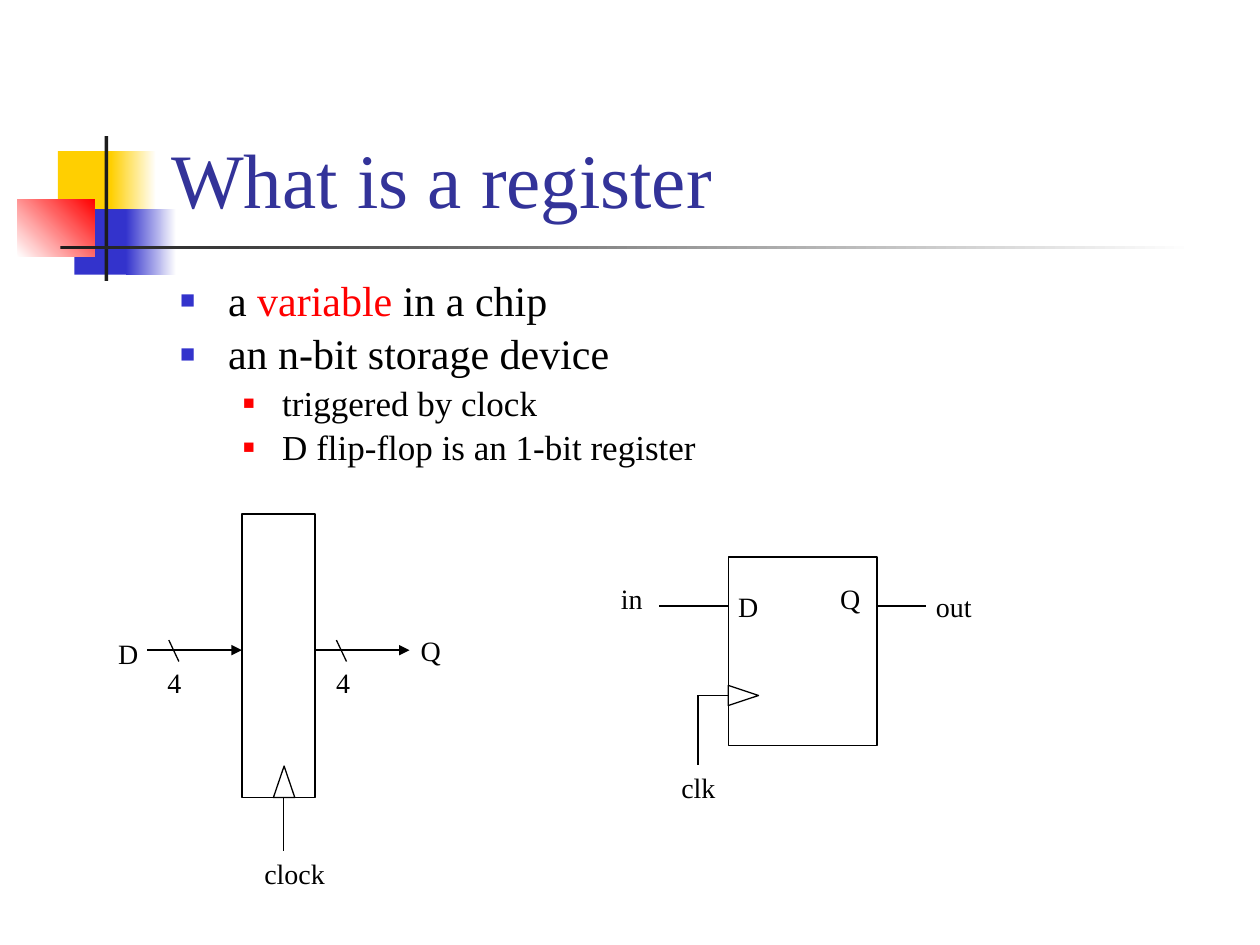
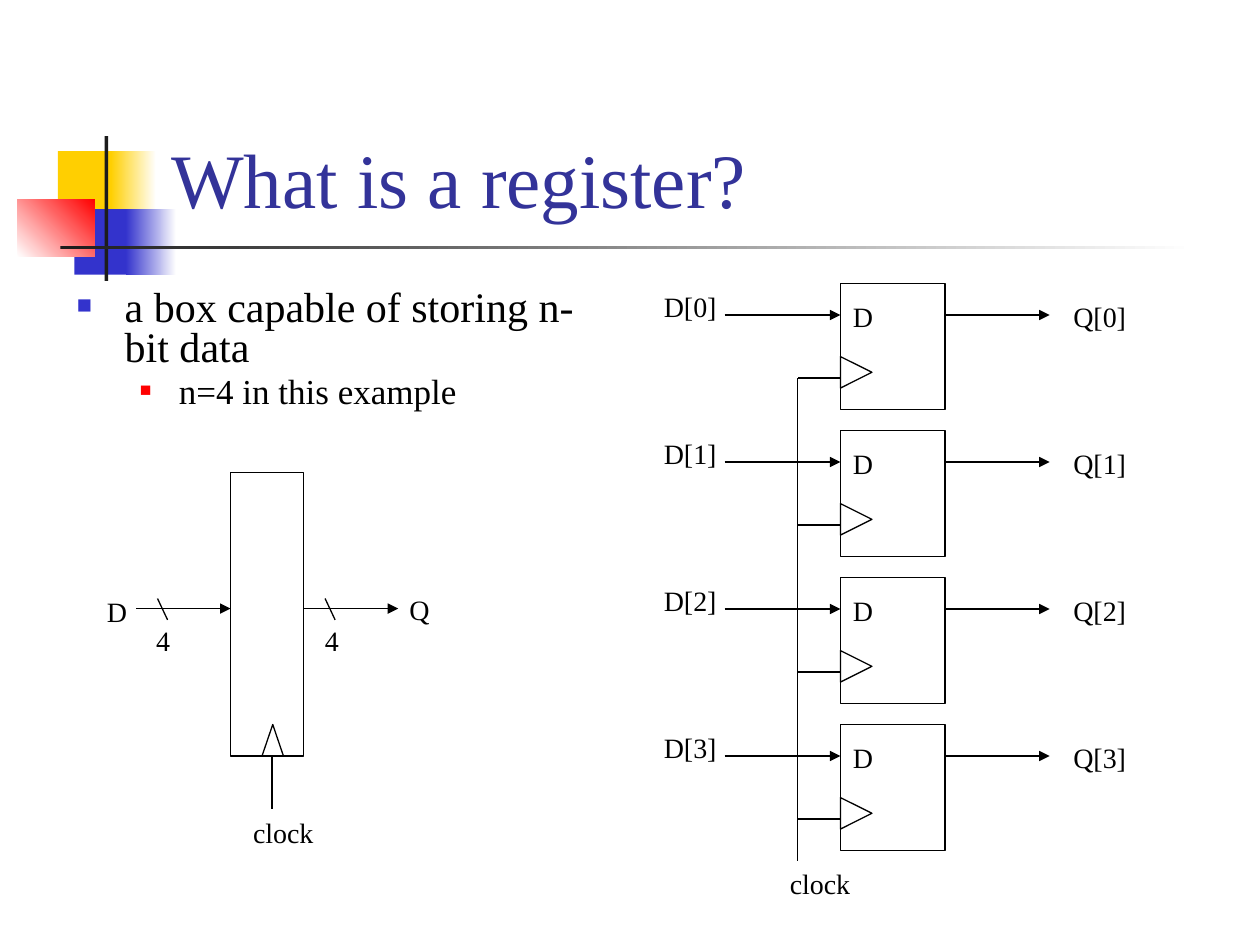
"""Build two slides that explain what a register is."""
from dataclasses import dataclass

from lxml.etree import SubElement
from pptx import Presentation
from pptx.dml.color import RGBColor
from pptx.enum.shapes import MSO_CONNECTOR, MSO_SHAPE
from pptx.enum.text import MSO_ANCHOR, MSO_AUTO_SIZE, PP_ALIGN
from pptx.oxml.ns import qn
from pptx.util import Inches, Pt


@dataclass(frozen=True)
class Theme:
    font: str = "Times New Roman"
    ink: str = "000000"
    title: str = "333399"
    yellow: str = "FFCF01"
    blue: str = "3333CC"
    red: str = "FF0000"
    dark: str = "1C1C1C"
    white: str = "FFFFFF"
    title_size: int = 44
    body_sizes: tuple = (24, 20)
    label_size: int = 16
    line_width: float = 0.75


T = Theme()
TITLE_BOX = (1.26, 0.23, 8.52, 1.6)
LABEL_HEIGHT = 0.37

BANDS = [
    ((0.46, 1.2, 0.48, 0.52), (T.yellow,), 0),
    ((0.88, 1.2, 0.36, 0.52), (T.yellow, T.white), 0),
    ((0.59, 1.66, 0.46, 0.52), (T.blue,), 0),
    ((1, 1.66, 0.4, 0.52), (T.blue, T.white), 0),
    ((0.14, 1.58, 0.61, 0.46), (T.white, T.red), 45),
    ((0.83, 1.08, 0.03, 1.15), (T.dark,), 0),
    ((0.48, 1.95, 9, 0.03), (T.dark, T.white), 0),
]

BULLETS = [
    {"color": T.blue, "size": 60, "left": 0.38, "hang": 0.38},
    {"color": T.red, "size": 55, "left": 0.81, "hang": 0.31},
]

REGISTER = {
    "box": (0.58, 2.25),
    "clock_mark": (0.25, 2, 0.17, 0.25, 0),
    "arrows": [(-0.75, 1.08, 0, 1.08), (0.58, 1.08, 1.33, 1.08)],
    "wires": [(-0.58, 1, -0.5, 1.17), (0.75, 1, 0.83, 1.17), (0.33, 2.25, 0.33, 2.67)],
    "labels": [("4", -0.69, 1.15, 0.31), ("4", 0.65, 1.15, 0.31), ("D", -1.08, 0.92, 0.36),
               ("Q", 1.32, 0.9, 0.36), ("clock", 0.08, 2.67, 0.68)],
}
FLIP_FLOP = {
    "box": (1.18, 1.5),
    "clock_mark": (0.04, 0.98, 0.16, 0.24, 90),
    "wires": [(1.18, 0.39, 1.57, 0.39), (0, 0.39, -0.55, 0.39),
              (0, 1.1, -0.24, 1.1), (-0.24, 1.1, -0.24, 1.65)],
    "labels": [("D", -0.02, 0.21, 0.36), ("Q", 0.79, 0.15, 0.36), ("in", -0.95, 0.15, 0.38),
               ("out", 1.55, 0.21, 0.49), ("clk", -0.47, 1.65, 0.47)],
}
BIT = {
    "box": (0.83, 1),
    "clock_mark": (0, 0.58, 0.25, 0.25, 90),
    "arrows": [(0.83, 0.25, 1.66, 0.25), (-0.92, 0.25, 0, 0.25)],
    "wires": [(0, 0.75, -0.34, 0.75)],
    "labels": [("D", 0, 0.08, 0.36), ("D[{i}]", -1.5, 0, 0.62), ("Q[{i}]", 1.75, 0.08, 0.62)],
}
CLOCK_BUS = {
    "wires": [(0, 0, 0, 3.83)],
    "labels": [("clock", -0.16, 3.83, 0.68)],
}
BIT_COUNT = 4
BIT_TOP, BIT_TRAVEL = 2.25, 3.5
BITS = [(BIT, 6.67, BIT_TOP + i * BIT_TRAVEL / (BIT_COUNT - 1), i) for i in range(BIT_COUNT)]

SLIDES = [
    {
        "title": "What is a register",
        "body_box": (1.33, 2.17, 8.5, 1.71),
        "spacing": 0.9,
        "body": [
            (0, [("a ", T.ink), ("variable", T.red), (" in a chip", T.ink)]),
            (0, [("an n-bit storage device", T.ink)]),
            (1, [("triggered by clock", T.ink)]),
            (1, [("D flip-flop is an 1-bit register", T.ink)]),
        ],
        "groups": [[(REGISTER, 1.92, 4.08, 0)], [(FLIP_FLOP, 5.78, 4.42, 0)]],
    },
    {
        "title": "What is a register?",
        "body_box": (0.51, 2.25, 4.41, 1.1),
        "spacing": 0.8,
        "body": [
            (0, [("a box capable of storing n-bit data", T.ink)]),
            (1, [("n=4 in this example", T.ink)]),
        ],
        "groups": [BITS + [(CLOCK_BUS, 6.33, 3, 0)], [(REGISTER, 1.83, 3.75, 0)]],
    },
]


def put(obj, **values):
    for name, value in values.items():
        setattr(obj, name, value)


def inches(values):
    return [Inches(v) for v in values]


def place(shape, box):
    put(shape, **dict(zip(("left", "top", "width", "height"), inches(box))))


def add_run(p, text, size, color):
    r = p.add_run()
    r.text = text
    put(r.font, name=T.font, size=Pt(size))
    r.font.color.rgb = RGBColor.from_string(color)


def add_bullet(p, color, size, left, hang):
    pPr = p._p.get_or_add_pPr()
    pPr.set("marL", str(Inches(left)))
    pPr.set("indent", str(-Inches(hang)))
    SubElement(SubElement(pPr, qn("a:buClr")), qn("a:srgbClr"), val=color)
    SubElement(pPr, qn("a:buSzPct"), val=str(size * 1000))
    SubElement(pPr, qn("a:buFont"), typeface=T.font)
    SubElement(pPr, qn("a:buChar"), char="■")


def stroke(line):
    line.color.rgb = RGBColor.from_string(T.ink)
    line.width = Pt(T.line_width)


def add_outline(shapes, kind, box, rotation=0):
    sp = shapes.add_shape(kind, *inches(box))
    sp.shadow.inherit = False
    sp.rotation = rotation
    sp.fill.background()
    stroke(sp.line)


def add_wire(shapes, ends, arrow=False):
    c = shapes.add_connector(MSO_CONNECTOR.STRAIGHT, *inches(ends))
    stroke(c.line)
    spPr = c.element.spPr
    if arrow:
        SubElement(spPr.find(qn("a:ln")), qn("a:tailEnd"), type="triangle")
    SubElement(spPr, qn("a:effectLst"))


def add_label(shapes, text, x, y, width):
    tf = shapes.add_textbox(*inches((x, y, width, LABEL_HEIGHT))).text_frame
    put(tf, word_wrap=False, auto_size=MSO_AUTO_SIZE.SHAPE_TO_FIT_TEXT)
    add_run(tf.paragraphs[0], text, T.label_size, T.ink)


def draw(shapes, diagram, x, y, i):
    if "box" in diagram:
        add_outline(shapes, MSO_SHAPE.RECTANGLE, (x, y, *diagram["box"]))
        dx, dy, w, h, rotation = diagram["clock_mark"]
        add_outline(shapes, MSO_SHAPE.ISOSCELES_TRIANGLE, (x + dx, y + dy, w, h), rotation)
    for key in ("arrows", "wires"):
        for x1, y1, x2, y2 in diagram.get(key, []):
            add_wire(shapes, (x + x1, y + y1, x + x2, y + y2), key == "arrows")
    for text, dx, dy, width in diagram["labels"]:
        add_label(shapes, text.format(i=i), x + dx, y + dy, width)


def add_band(s, box, colors, angle):
    sp = s.shapes.add_shape(MSO_SHAPE.RECTANGLE, *inches(box))
    sp.shadow.inherit = False
    sp.line.fill.background()
    if len(colors) == 1:
        sp.fill.solid()
        sp.fill.fore_color.rgb = RGBColor.from_string(colors[0])
    else:
        sp.fill.gradient()
        sp.fill.gradient_angle = angle
        for position, (stop, color) in enumerate(zip(sp.fill.gradient_stops, colors)):
            stop.position = position
            stop.color.rgb = RGBColor.from_string(color)
    return sp


def dress_layout(layout, s):
    for ph in list(layout.placeholders):
        if ph.placeholder_format.idx >= 10:
            ph.element.getparent().remove(ph.element)
    place(layout.placeholders[0], TITLE_BOX)
    for band in BANDS:
        layout.shapes.element.append(add_band(s, *band).element)


def fill_text(s, content):
    tf = s.shapes.title.text_frame
    put(tf, vertical_anchor=MSO_ANCHOR.BOTTOM, auto_size=MSO_AUTO_SIZE.NONE)
    tf.paragraphs[0].alignment = PP_ALIGN.LEFT
    add_run(tf.paragraphs[0], content["title"], T.title_size, T.title)

    body = s.placeholders[1]
    place(body, content["body_box"])
    tf = body.text_frame
    put(tf, word_wrap=True, auto_size=MSO_AUTO_SIZE.NONE)
    for n, (level, runs) in enumerate(content["body"]):
        p = tf.add_paragraph() if n else tf.paragraphs[0]
        put(p, level=level, line_spacing=content["spacing"])
        add_bullet(p, **BULLETS[level])
        for text, color in runs:
            add_run(p, text, T.body_sizes[level], color)


def main():
    prs = Presentation()
    put(prs, slide_width=Inches(10), slide_height=Inches(7.5))
    layout = prs.slide_layouts[1]
    for n, content in enumerate(SLIDES):
        s = prs.slides.add_slide(layout)
        if n == 0:
            dress_layout(layout, s)
        fill_text(s, content)
        for parts in content["groups"]:
            shapes = s.shapes.add_group_shape().shapes
            for part in parts:
                draw(shapes, *part)
    prs.save("out.pptx")


if __name__ == "__main__":
    main()
